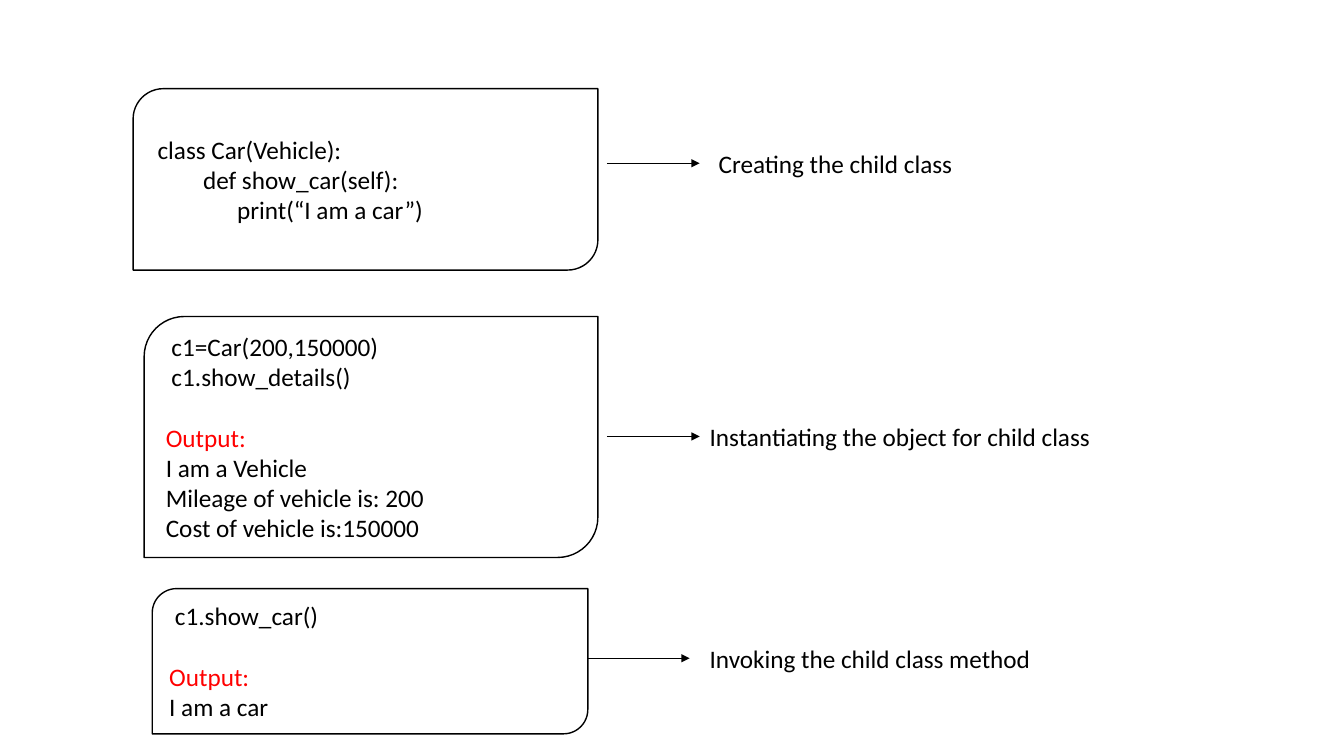
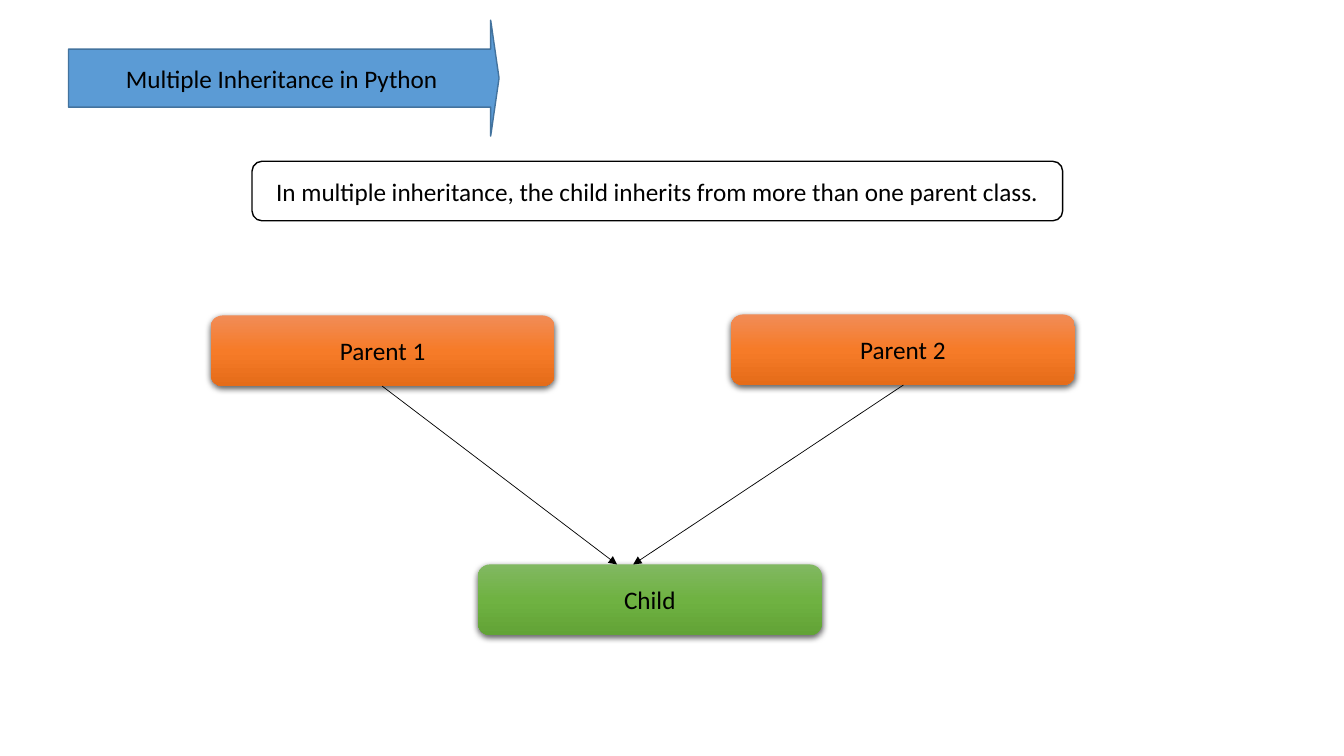
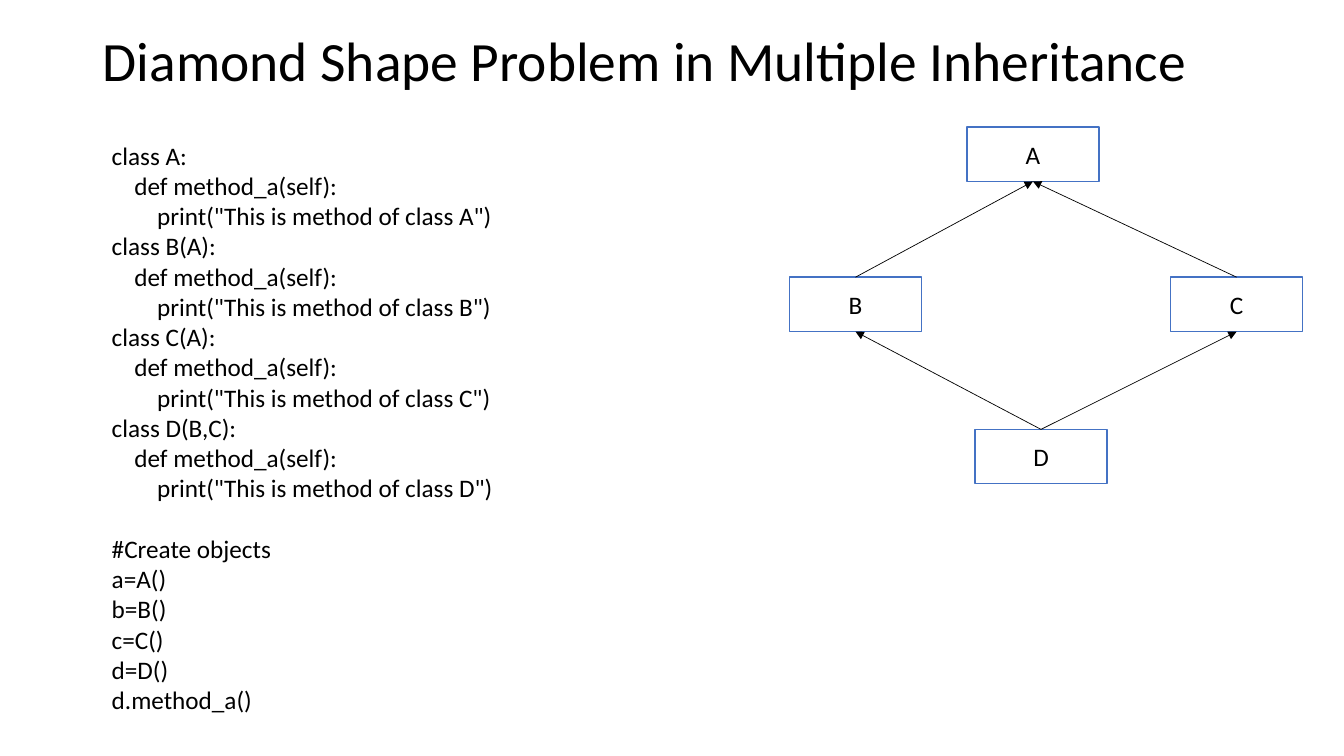
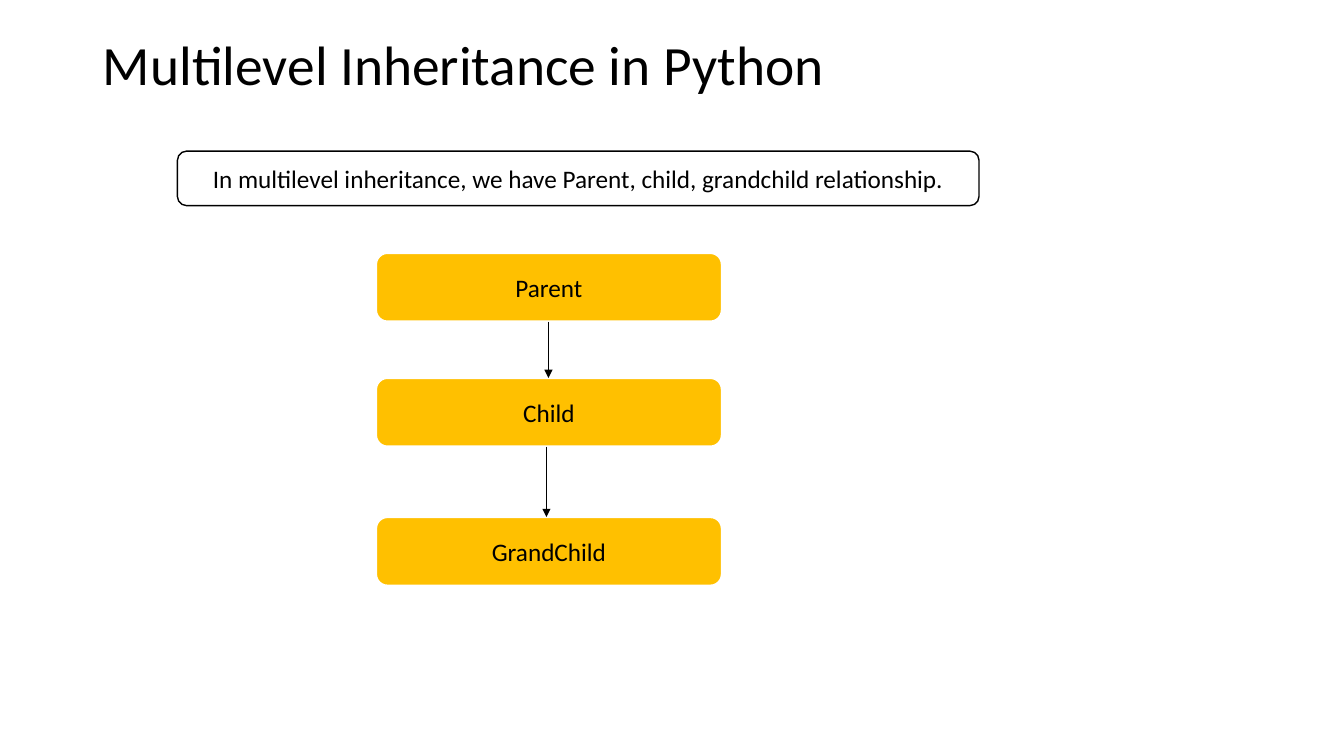
from lxml import etree
from pptx import Presentation
from pptx.dml.color import RGBColor
from pptx.enum.shapes import MSO_CONNECTOR, MSO_SHAPE
from pptx.enum.text import MSO_ANCHOR, MSO_AUTO_SIZE, PP_ALIGN
from pptx.oxml import parse_xml
from pptx.oxml.ns import nsdecls, qn
from pptx.util import Inches, Pt

BLACK = RGBColor(0x00, 0x00, 0x00)
WHITE = RGBColor(0xFF, 0xFF, 0xFF)
RED = RGBColor(0xFF, 0x00, 0x00)
BLUE = RGBColor(0x5B, 0x9B, 0xD5)
NAVY = RGBColor(0x43, 0x73, 0x9E)
EDGE = RGBColor(0x44, 0x72, 0xC4)
GOLD = RGBColor(0xFF, 0xC0, 0x00)
ORANGE = ("F18C57", "F67B28", "E56C19")
GREEN = ("81B861", "6FB242", "62A336")

RECT = MSO_SHAPE.RECTANGLE
ROUND = MSO_SHAPE.ROUNDED_RECTANGLE
DIAG = MSO_SHAPE.ROUND_2_DIAG_RECTANGLE
ARROW = MSO_SHAPE.RIGHT_ARROW
LINE = MSO_CONNECTOR.STRAIGHT
LEFT, CENTER = PP_ALIGN.LEFT, PP_ALIGN.CENTER
TOP, MIDDLE = MSO_ANCHOR.TOP, MSO_ANCHOR.MIDDLE
NO_FIT = MSO_AUTO_SIZE.NONE
FONT = "Calibri"
GAP = Pt(21.6)


def add_box(slide, area, text, kind=None, fill=WHITE, edge=BLACK, width=1,
            align=CENTER, wrap=True):
    """Add a shape, or a text box when kind is None; an empty line becomes a gap."""
    area = [Inches(n) for n in area]
    if kind is None:
        box = slide.shapes.add_textbox(*area)
    else:
        box = slide.shapes.add_shape(kind, *area)
        box.shadow.inherit = False
        box.fill.solid()
        box.fill.fore_color.rgb = fill
        box.line.color.rgb = edge
        box.line.width = Pt(width)
    frame = box.text_frame
    frame.word_wrap = wrap
    frame.vertical_anchor = MIDDLE if kind else TOP
    frame.text = text.replace("\n\n", "\n")
    starts = [part.count("\n") + 1 for part in text.split("\n\n")[:-1]]
    for i, para in enumerate(frame.paragraphs):
        para.alignment = align
        if i in starts:
            para.space_before = GAP
        for run in para.runs:
            run.font.name = FONT
            run.font.size = Pt(18)
            run.font.color.rgb = RED if run.text == "Output:" else BLACK
    return box


def add_arrow(slide, x1, y1, x2, y2):
    """Add a thin black line with a triangle at its end."""
    line = slide.shapes.add_connector(
        LINE, Inches(x1), Inches(y1), Inches(x2), Inches(y2))
    line.line.color.rgb = BLACK
    line.line.width = Pt(0.5)
    props = line.line._get_or_add_ln()
    etree.SubElement(props, qn("a:tailEnd"), type="triangle")
    etree.SubElement(line._element.spPr, qn("a:effectLst"))


prs = Presentation()
prs.slide_width = Inches(13.33)
prs.slide_height = Inches(7.5)

# Slides and their titles
heads = [
    None,
    None,
    ("Diamond Shape Problem in Multiple Inheritance", 11.19, 0.46),
    ("Multilevel Inheritance in Python", 11.5, 0.54),
]
for head in heads:
    slide = prs.slides.add_slide(prs.slide_layouts[5 if head else 6])
    if head:
        text, wide, high = head
        title = slide.shapes.title
        title.left, title.top = Inches(0.92), Inches(0.4)
        title.width, title.height = Inches(wide), Inches(high)
        frame = title.text_frame
        frame.text = text
        frame.auto_size = NO_FIT
        frame.vertical_anchor = MIDDLE
        para = frame.paragraphs[0]
        para.alignment = LEFT
        para.line_spacing = 0.9
        font = para.runs[0].font
        font.name, font.size = FONT, Pt(39.6)
        font.color.rgb = BLACK
child, multi, diamond, levels = prs.slides

# Slide 1: code boxes, each with an arrow to its label
define = """ class Car(Vehicle):
         def show_car(self):
               print(“I am a car”)"""
create = """ c1=Car(200,150000)
 c1.show_details()

Output:
I am a Vehicle
Mileage of vehicle is: 200
Cost of vehicle is:150000"""
invoke = """ c1.show_car()

Output:
I am a car"""
steps = [
    (define, (1.32, 0.88, 4.61, 1.8), (6.02, 6.94), 1.62,
     "Creating the child class", 7.03, 2.55),
    (create, (1.43, 3.14, 4.5, 2.39), (6.02, 6.94), 4.33,
     "Instantiating the object for child class", 6.94, 4.02),
    (invoke, (1.51, 5.84, 4.32, 1.44), (5.83, 6.84), 6.53,
     "Invoking the child class method", 6.94, 3.42),
]
for code, area, (x1, x2), y, label, left, wide in steps:
    add_box(child, area, code, DIAG, align=LEFT)
    add_arrow(child, x1, y, x2, y)
    add_box(child, (left, y - 0.2, wide, 0.4), label, align=LEFT, wrap=False)

# Slide 2: heading arrow and definition
banner = add_box(multi, (0.68, 0.2, 4.27, 1.15),
                 "Multiple Inheritance in Python", ARROW, BLUE, NAVY)
banner.adjustments[1] = 0.072
add_box(multi, (2.5, 1.6, 8.04, 0.59),
        "In multiple inheritance, the child inherits from more than one"
        " parent class.", ROUND)

# Slide 2: shaded class boxes
nodes = [
    ("Parent 1", 2.09, 3.13, ORANGE),
    ("Parent 2", 7.25, 3.12, ORANGE),
    ("Child", 4.74, 5.6, GREEN),
]
for name, x, y, tones in nodes:
    box = add_box(multi, (x, y, 3.41, 0.7), name, ROUND)
    box.line.fill.background()
    props = box._element.spPr
    stops = "".join(
        f'<a:gs pos="{i * 50000}"><a:srgbClr val="{tone}"/></a:gs>'
        for i, tone in enumerate(tones))
    props.replace(props.find(qn("a:solidFill")), parse_xml(
        f'<a:gradFill {nsdecls("a")} rotWithShape="1"><a:gsLst>{stops}</a:gsLst>'
        '<a:lin ang="5400000" scaled="0"/></a:gradFill>'))
    props.replace(props.find(qn("a:effectLst")), parse_xml(
        f'<a:effectLst {nsdecls("a")}><a:outerShdw blurRad="{Pt(4.5)}"'
        f' dist="{Pt(1.5)}" dir="5400000" algn="ctr" rotWithShape="0">'
        '<a:srgbClr val="000000"><a:alpha val="63000"/></a:srgbClr>'
        '</a:outerShdw></a:effectLst>'))
add_arrow(multi, 3.79, 3.83, 6.12, 5.6)
add_arrow(multi, 8.96, 3.82, 6.28, 5.6)

# Slide 3: diamond of classes
wide, high = 1.31, 0.54
spots = {"A": (9.59, 1.26), "B": (7.83, 2.75),
         "C": (11.61, 2.75), "D": (9.67, 4.26)}
for name, (x, y) in spots.items():
    add_box(diamond, (x, y, wide, high), name, RECT, edge=EDGE)
for low, top in ("BA", "CA", "DB", "DC"):
    (x1, y1), (x2, y2) = spots[low], spots[top]
    add_arrow(diamond, x1 + wide / 2, y1, x2 + wide / 2, y2 + high)

# Slide 3: code listing
code = """class A:
    def method_a(self):
        print("This is method of class A")
class B(A):
    def method_a(self):
        print("This is method of class B")
class C(A):
    def method_a(self):
        print("This is method of class C")
class D(B,C):
    def method_a(self):
        print("This is method of class D")

#Create objects
a=A()
b=B()
c=C()
d=D()
d.method_a()"""
add_box(diamond, (1.01, 1.34, 5.26, 5.86), code, align=LEFT)

# Slide 4: definition and chain of classes
add_box(levels, (1.76, 1.5, 7.95, 0.54),
        "In multilevel inheritance, we have Parent, child, grandchild"
        " relationship.", ROUND)
for name, y in (("Parent", 2.51), ("Child", 3.75), ("GrandChild", 5.13)):
    add_box(levels, (3.73, y, 3.43, 0.68), name, ROUND, GOLD, WHITE, 1.5)
add_arrow(levels, 5.44, 3.19, 5.44, 3.75)
add_arrow(levels, 5.42, 4.43, 5.42, 5.13)

prs.save("out.pptx")
